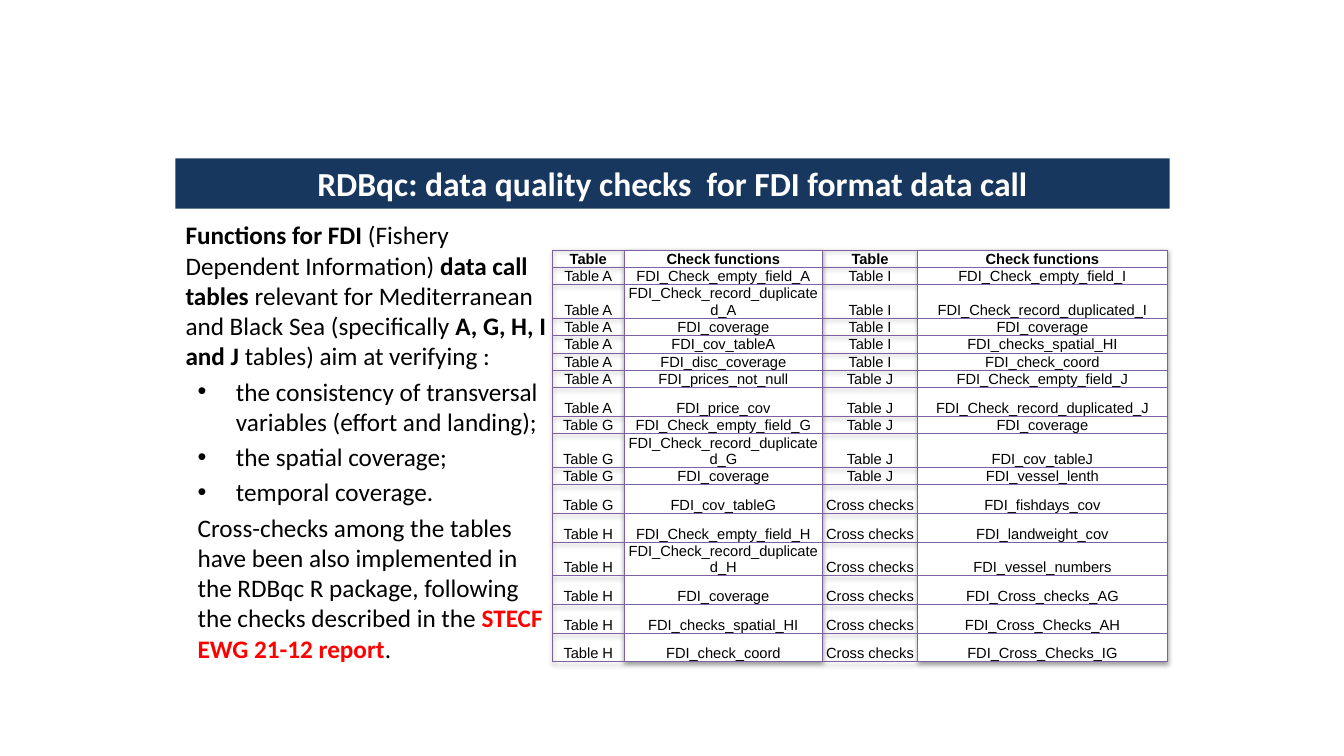
from lxml import etree
from pptx import Presentation
from pptx import util as u
from pptx.dml.color import RGBColor
from pptx.enum import text
from pptx.oxml import parse_xml
from pptx.oxml.ns import qn

NAVY = RGBColor(0x17, 0x37, 0x5E)
WHITE = RGBColor(0xFF, 0xFF, 0xFF)
BLACK = RGBColor(0, 0, 0)
RED = RGBColor(0xFF, 0, 0)
PURPLE = RGBColor(0x7D, 0x60, 0xA0)

INTRO = [
    ("Functions for FDI ", True, BLACK),
    ("(Fishery Dependent Information) ", False, BLACK),
    ("data call tables", True, BLACK),
    (" relevant for Mediterranean and Black Sea (specifically ", False, BLACK),
    ("A, G, H, I and J", True, BLACK),
    (" tables) aim at verifying :", False, BLACK),
]
AIMS = [
    "the consistency of transversal variables (effort and landing);",
    "the spatial coverage;",
    "temporal coverage.",
]
CLOSING = [
    ("Cross-checks among the tables have been also implemented in the RDBqc R package, "
     "following the checks described in the ", False, BLACK),
    ("STECF EWG 21-12 report", True, RED),
    (".", False, BLACK),
]

LEFT_CHECKS = {
    "Table A": ["FDI_Check_empty_field_A", "FDI_Check_record_duplicated_A", "FDI_coverage",
                "FDI_cov_tableA", "FDI_disc_coverage", "FDI_prices_not_null", "FDI_price_cov"],
    "Table G": ["FDI_Check_empty_field_G", "FDI_Check_record_duplicated_G", "FDI_coverage",
                "FDI_cov_tableG"],
    "Table H": ["FDI_Check_empty_field_H", "FDI_Check_record_duplicated_H", "FDI_coverage",
                "FDI_checks_spatial_HI", "FDI_check_coord"],
}
RIGHT_CHECKS = {
    "Table I": ["FDI_Check_empty_field_I", "FDI_Check_record_duplicated_I", "FDI_coverage",
                "FDI_checks_spatial_HI", "FDI_check_coord"],
    "Table J": ["FDI_Check_empty_field_J", "FDI_Check_record_duplicated_J", "FDI_coverage",
                "FDI_cov_tableJ", "FDI_vessel_lenth"],
    "Cross checks": ["FDI_fishdays_cov", "FDI_landweight_cov", "FDI_vessel_numbers",
                     "FDI_Cross_checks_AG", "FDI_Cross_Checks_AH", "FDI_Cross_Checks_IG"],
}
COLUMN_WIDTHS = [0.71, 1.97, 0.94, 2.48]
LOW, MIDDLE, TALL = 0.17, 0.285, 0.325
ROW_HEIGHTS = [LOW, LOW, TALL, LOW, LOW, LOW, LOW, MIDDLE, LOW, TALL, LOW,
               MIDDLE, MIDDLE, TALL, MIDDLE, MIDDLE, MIDDLE]

SHADOW = (
    '<a:effectLst xmlns:a="http://schemas.openxmlformats.org/drawingml/2006/main">'
    '<a:outerShdw blurRad="40000" dist="20000" dir="5400000" rotWithShape="0">'
    '<a:srgbClr val="000000"><a:alpha val="38000"/></a:srgbClr>'
    '</a:outerShdw></a:effectLst>'
)


def place(shape, left, top, width, height):
    shape.left, shape.top = u.Inches(left), u.Inches(top)
    shape.width, shape.height = u.Inches(width), u.Inches(height)


def style(span, font, size, bold, color):
    span.font.name = font
    span.font.size = u.Pt(size)
    span.font.bold = bold
    span.font.color.rgb = color


def write_title(title):
    place(title, 1.74, 1.57, 9.86, 0.5)
    title.fill.solid()
    title.fill.fore_color.rgb = NAVY
    frame = title.text_frame
    frame.text = "RDBqc: data quality checks  for FDI format data call"
    frame.auto_size = text.MSO_AUTO_SIZE.NONE
    frame.vertical_anchor = text.MSO_ANCHOR.MIDDLE
    para = frame.paragraphs[0]
    para.alignment = text.PP_ALIGN.CENTER
    style(para.runs[0], "Calibri", 24, True, WHITE)


def write_para(para, pieces, margin=0.0, indent=0.0, bullet=None):
    para.space_before = u.Pt(3.6)
    props = para._p.get_or_add_pPr()
    props.set("marL", str(u.Inches(margin)))
    props.set("indent", str(u.Inches(indent)))
    if bullet:
        etree.SubElement(props, qn("a:buFont")).set("typeface", "Arial")
        etree.SubElement(props, qn("a:buChar")).set("char", bullet)
    else:
        etree.SubElement(props, qn("a:buNone"))
    for words, bold, color in pieces:
        span = para.add_run()
        span.text = words
        style(span, "Calibri", 18, bold, color)


def write_body(body):
    place(body, 1.74, 2.13, 3.78, 4.94)
    frame = body.text_frame
    frame.auto_size = text.MSO_AUTO_SIZE.NONE
    frame.vertical_anchor = text.MSO_ANCHOR.TOP
    write_para(frame.paragraphs[0], INTRO)
    for aim in AIMS:
        write_para(frame.add_paragraph(), [(aim, False, BLACK)], 0.5, -0.38, "•")
    write_para(frame.add_paragraph(), CLOSING, 0.12)


def add_borders(cell):
    props = cell._tc.get_or_add_tcPr()
    for index, side in enumerate(("a:lnL", "a:lnR", "a:lnT", "a:lnB")):
        line = etree.Element(qn(side), w=str(u.Pt(0.75)))
        fill = etree.SubElement(line, qn("a:solidFill"))
        etree.SubElement(fill, qn("a:srgbClr")).set("val", str(PURPLE))
        props.insert(index, line)


def write_cell(cell, words, bold, filled):
    cell.margin_left = cell.margin_right = cell.margin_top = u.Inches(0.01)
    cell.margin_bottom = 0
    cell.vertical_anchor = text.MSO_ANCHOR.BOTTOM
    if filled:
        cell.fill.solid()
        cell.fill.fore_color.rgb = WHITE
    else:
        cell.fill.background()
    add_borders(cell)
    cell.text_frame.text = words
    para = cell.text_frame.paragraphs[0]
    para.alignment = text.PP_ALIGN.CENTER
    style(para.runs[0], "Arial", 10.5, bold, BLACK)


def pair_up(checks):
    return [(table, check) for table, names in checks.items() for check in names]


def add_check_table(page):
    header = ("Table", "Check functions")
    rows = [header + header]
    rows += [left + right for left, right in zip(pair_up(LEFT_CHECKS), pair_up(RIGHT_CHECKS))]
    frame = page.shapes.add_table(
        len(rows), len(COLUMN_WIDTHS), u.Inches(5.48), u.Inches(2.48),
        u.Inches(sum(COLUMN_WIDTHS)), u.Inches(sum(ROW_HEIGHTS)))
    table = frame.table
    table.first_row = table.horz_banding = False
    table._tbl.tblPr.insert(0, parse_xml(SHADOW))
    for column, width in zip(table.columns, COLUMN_WIDTHS):
        column.width = u.Inches(width)
    for row_index, (height, values) in enumerate(zip(ROW_HEIGHTS, rows)):
        table.rows[row_index].height = u.Inches(height)
        for column_index, words in enumerate(values):
            write_cell(table.cell(row_index, column_index), words,
                       row_index == 0, column_index % 2 == 1)


def main():
    deck = Presentation()
    deck.slide_width, deck.slide_height = u.Inches(13.33), u.Inches(7.5)
    page = deck.slides.add_slide(deck.slide_layouts[1])
    write_title(page.shapes.title)
    write_body(page.placeholders[1])
    add_check_table(page)
    deck.save("out.pptx")


if __name__ == "__main__":
    main()
